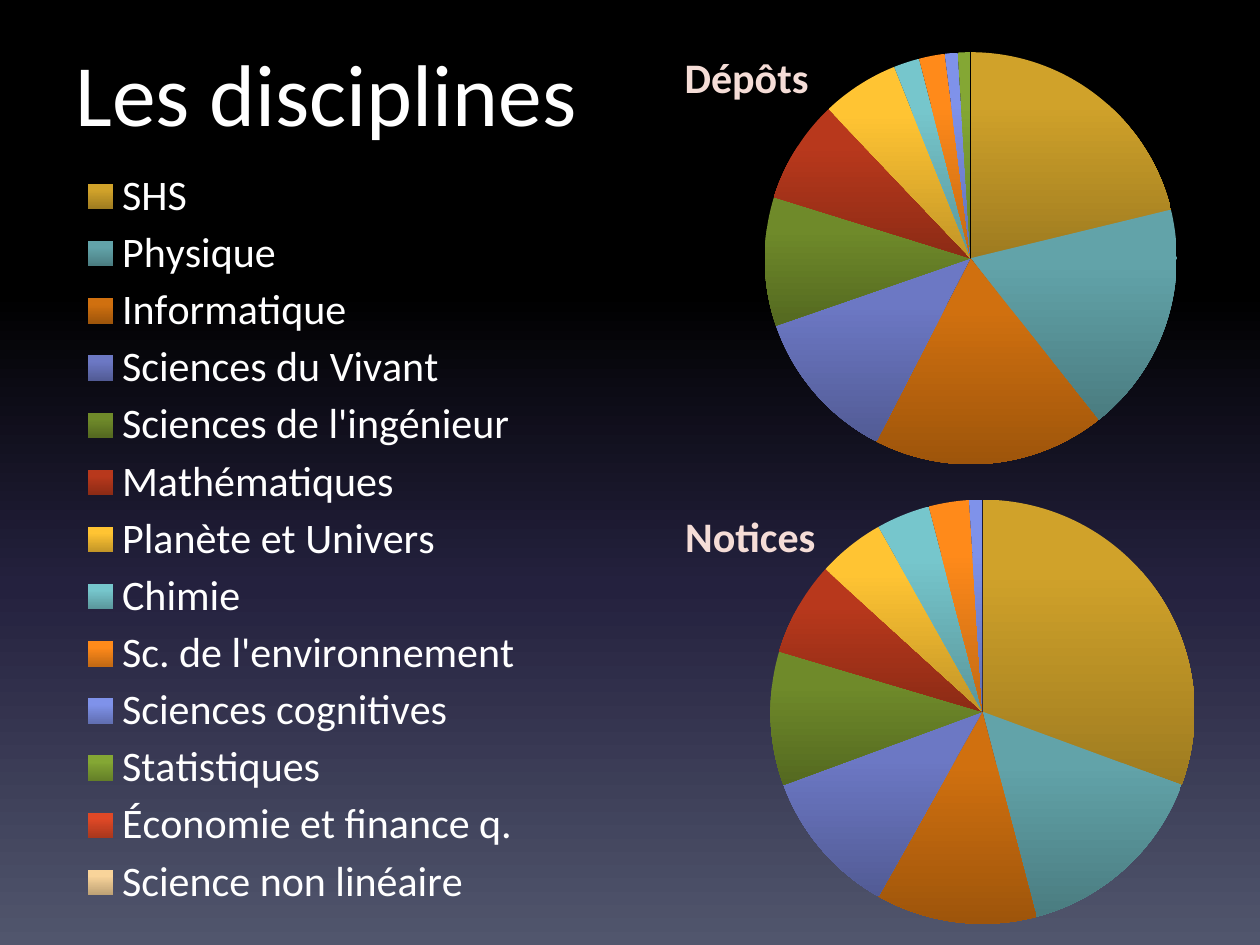
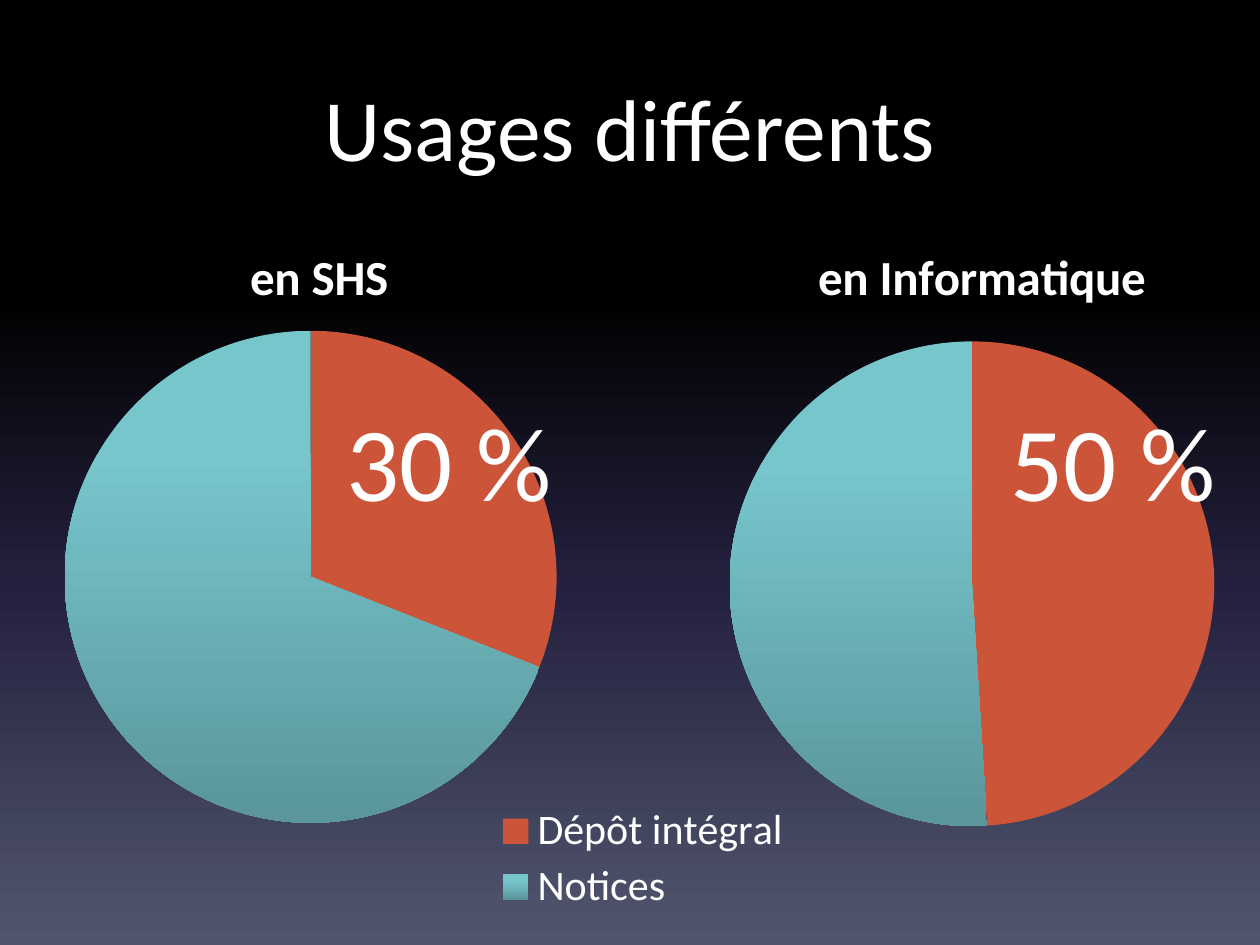
"""Build two slides of pie charts on disciplines and their usage."""
import dataclasses

import lxml.etree
import pptx
import pptx.chart.data
import pptx.dml.color
import pptx.enum.chart
import pptx.enum.text
import pptx.oxml.ns
import pptx.util

qn = pptx.oxml.ns.qn
COLUMNS, ROWS = 100, 75


@dataclasses.dataclass(frozen=True)
class Theme:
    """Colours, font and type sizes shared by the slides."""
    font: str = "Calibri"
    white: str = "FFFFFF"
    blush: str = "F5DDD7"
    full_deposit: str = "CC5439"
    notices: str = "76C6CC"
    disciplines: tuple = (
        "D0A22A", "62A3A9", "D0700F", "6C78C4", "6F8A2A", "B8381C", "FFC433",
        "76C6CC", "FF8A1A", "7F92EA", "84A734", "DF4826", "F9D49A")
    backdrop: tuple = ((0, "000000"), (31, "000000"), (62, "24213E"), (100, "51566D"))
    shade: float = 0.76
    shade_start: int = 25
    title: int = 50
    figure: int = 60
    legend: int = 24
    label: int = 10


def write(frame, text, *, theme, size, color=None, bold=False, align=None):
    """Put one formatted paragraph in a text frame."""
    paragraph = frame.paragraphs[0]
    if align is not None:
        paragraph.alignment = align
    run = paragraph.add_run()
    run.text = text
    run.font.name, run.font.size, run.font.bold = theme.font, pptx.util.Pt(size), bold
    run.font.color.rgb = pptx.dml.color.RGBColor.from_string(color or theme.white)


def fill_gradient(fill, stops):
    """Fill from top to bottom with (percent, colour) stops."""
    fill.gradient()
    fill.gradient_angle = 270
    stop_list = fill.gradient_stops[0]._gs.getparent()
    for old_stop in list(stop_list):
        stop_list.remove(old_stop)
    for percent, color in stops:
        stop = lxml.etree.SubElement(stop_list, qn("a:gs"), pos=str(percent * 1000))
        lxml.etree.SubElement(stop, qn("a:srgbClr"), val=color)


def darken(color, share):
    """Return a hex colour scaled towards black."""
    return "".join(f"{round(int(color[i:i + 2], 16) * share):02X}" for i in (0, 2, 4))


def place(part, x, y, width=None, height=None, inner=False):
    """Place a chart part by shares of the chart's size."""
    for old_layout in part.findall(qn("c:layout")):
        part.remove(old_layout)
    leading = [child for child in part if child.tag in (qn("c:tx"), qn("c:legendPos"))]
    layout = lxml.etree.Element(qn("c:layout"))
    manual = lxml.etree.SubElement(layout, qn("c:manualLayout"))
    settings = [("layoutTarget", "inner")] if inner else []
    settings += [("xMode", "edge"), ("yMode", "edge"), ("x", x), ("y", y)]
    if width is not None:
        settings += [("w", width), ("h", height)]
    for tag, value in settings:
        lxml.etree.SubElement(manual, qn(f"c:{tag}"), val=str(value))
    part.insert(len(leading), layout)


class Deck:
    """Hold the theme, the presentation and the current slide."""

    def __init__(self, theme):
        """Start a presentation of 10 by 7.5 inches."""
        self.theme = theme
        self.show = pptx.Presentation()
        self.show.slide_width = pptx.util.Inches(10)
        self.show.slide_height = pptx.util.Inches(7.5)
        self.slide = None

    def box(self, column, row, width, height):
        """Turn grid cells into slide lengths."""
        across, down = self.show.slide_width / COLUMNS, self.show.slide_height / ROWS
        return [round(v) for v in (column * across, row * down, width * across, height * down)]

    def add_slide(self):
        """Start a blank slide with the shared backdrop."""
        self.slide = self.show.slides.add_slide(self.show.slide_layouts[6])
        fill_gradient(self.slide.background.fill, self.theme.backdrop)

    def text(self, cells, text, **style):
        """Add a wrapping text box and return its frame."""
        frame = self.slide.shapes.add_textbox(*self.box(*cells)).text_frame
        frame.word_wrap = True
        write(frame, text, theme=self.theme, **style)
        return frame

    def title(self, text, row, align=None):
        """Add the slide title."""
        frame = self.text((5, row, 90, 12.5), text, size=self.theme.title, align=align)
        frame.vertical_anchor = pptx.enum.text.MSO_ANCHOR.MIDDLE
        frame.margin_bottom = pptx.util.Inches(0.29)

    def figure(self, column, text):
        """Add a large percentage over a pie."""
        self.text((column, 31, 19.2, 11.1), text, size=self.theme.figure)

    def pie(self, cells, values, colors, plot, heading, heading_at, heading_size,
            heading_color=None, names=None, legend_at=None, flat=()):
        """Add a pie with a heading and, if placed, a legend."""
        data = pptx.chart.data.CategoryChartData()
        data.categories = names or [str(i + 1) for i in range(len(values))]
        data.add_series("Series 1", values)
        chart = self.slide.shapes.add_chart(
            pptx.enum.chart.XL_CHART_TYPE.PIE, *self.box(*cells), data).chart
        rgb = pptx.dml.color.RGBColor.from_string
        chart.font.name, chart.font.size = self.theme.font, pptx.util.Pt(self.theme.label)
        chart.font.color.rgb = rgb(self.theme.white)

        write(chart.chart_title.text_frame, heading, theme=self.theme,
              size=heading_size, color=heading_color, bold=True)
        place(chart.chart_title._element, *heading_at)
        place(chart._chartSpace.chart.plotArea, *plot, inner=True)

        chart.has_legend = legend_at is not None
        if legend_at:
            legend = chart.legend
            legend.position = pptx.enum.chart.XL_LEGEND_POSITION.RIGHT
            legend.include_in_layout = False
            legend.font.name, legend.font.size = self.theme.font, pptx.util.Pt(self.theme.legend)
            legend.font.color.rgb = rgb(self.theme.white)
            place(legend._element, *legend_at)

        chart.plots[0].vary_by_categories = True
        for index, color in enumerate(colors):
            slice_format = chart.plots[0].series[0].points[index].format
            slice_format.line.fill.background()
            if color in flat:
                slice_format.fill.solid()
                slice_format.fill.fore_color.rgb = rgb(color)
            else:
                fill_gradient(slice_format.fill, (
                    (0, color), (self.theme.shade_start, color),
                    (100, darken(color, self.theme.shade))))


def disciplines_slide(deck):
    """Compare deposits and notices by discipline."""
    theme = deck.theme
    disciplines = [
        "SHS", "Physique", "Informatique", "Sciences du Vivant",
        "Sciences de l'ingénieur", "Mathématiques", "Planète et Univers", "Chimie",
        "Sc. de l'environnement", "Sciences cognitives", "Statistiques",
        "Économie et finance q.", "Science non linéaire"]
    heading = {"heading_size": 24, "heading_color": theme.blush}
    deck.add_slide()
    deck.title("Les disciplines", row=2.2)
    deck.pie((0, 13.1, 99.6, 61.9), (30, 15, 12, 11, 10, 7, 5, 4, 3, 1, 0, 0, 0),
             theme.disciplines, (0.614, 0.429, 0.338, 0.544), "Notices", (0.54, 0.43),
             names=disciplines, legend_at=(0.06, 0, 0.36, 0.96), **heading)
    deck.pie((51.1, 1, 43.9, 37.9), (21, 18, 18, 12, 10, 8, 6, 2, 2, 1, 1, 0, 0),
             theme.disciplines, (0.218, 0.083, 0.818, 0.863), "Dépôts", (0.06, 0.06),
             **heading)


def usage_slide(deck):
    """Contrast full deposits and notices in two disciplines."""
    theme = deck.theme
    shared = {"colors": (theme.full_deposit, theme.notices), "heading_size": 28,
              "flat": (theme.full_deposit,)}
    deck.add_slide()
    deck.title("Usages différents", row=5, align=pptx.enum.text.PP_ALIGN.CENTER)
    deck.pie((0, 17.5, 63.8, 57.6), (31, 69), plot=(0.08, 0.152, 0.613, 0.678),
             heading="en SHS", heading_at=(0.3, 0.02),
             names=["Dépôt intégral", "Notices"], legend_at=(0.61, 0.8, 0.38, 0.16), **shared)
    deck.pie((57.9, 17.5, 42.1, 57.5), (49, 51), plot=(0, 0.15, 0.914, 0.703),
             heading="en Informatique", heading_at=(0.15, 0.02), **shared)
    deck.figure(26.5, "30 %")
    deck.figure(79.2, "50 %")


def main():
    """Build and save both slides."""
    deck = Deck(Theme())
    disciplines_slide(deck)
    usage_slide(deck)
    deck.show.save("out.pptx")


if __name__ == "__main__":
    main()
